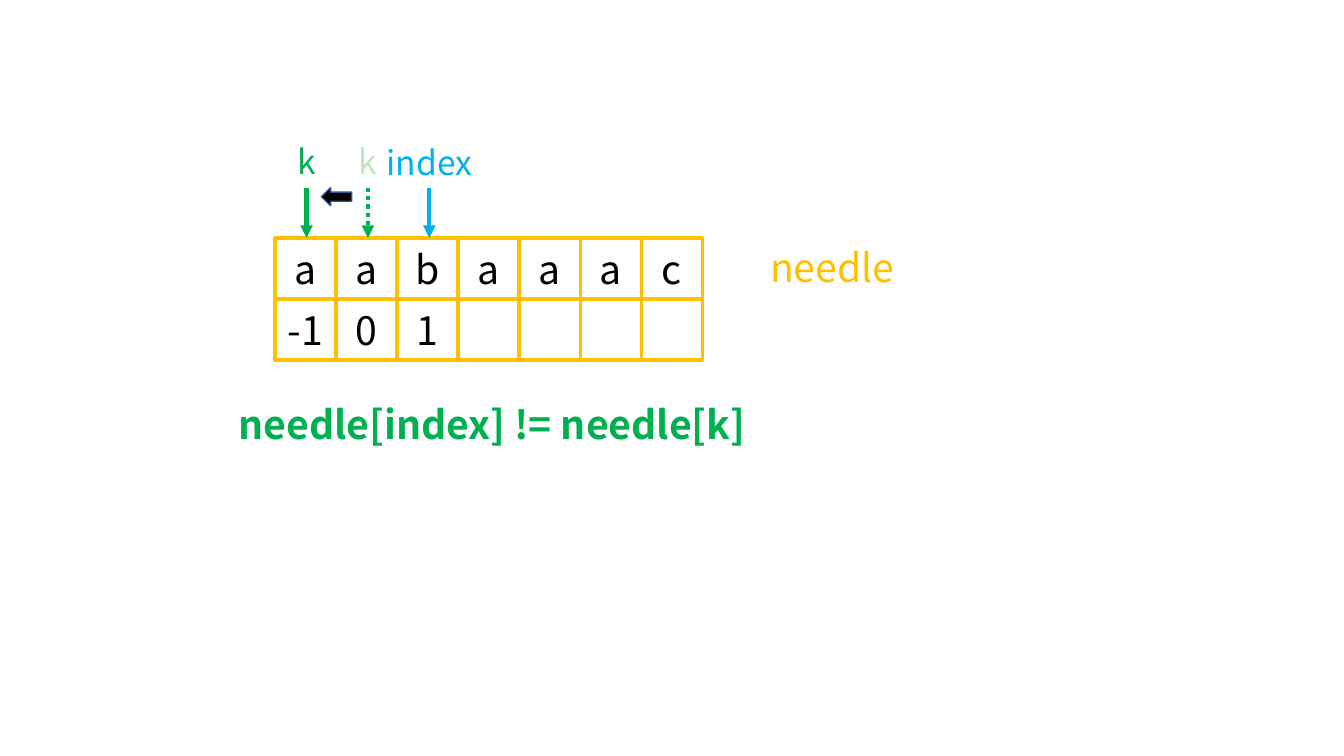
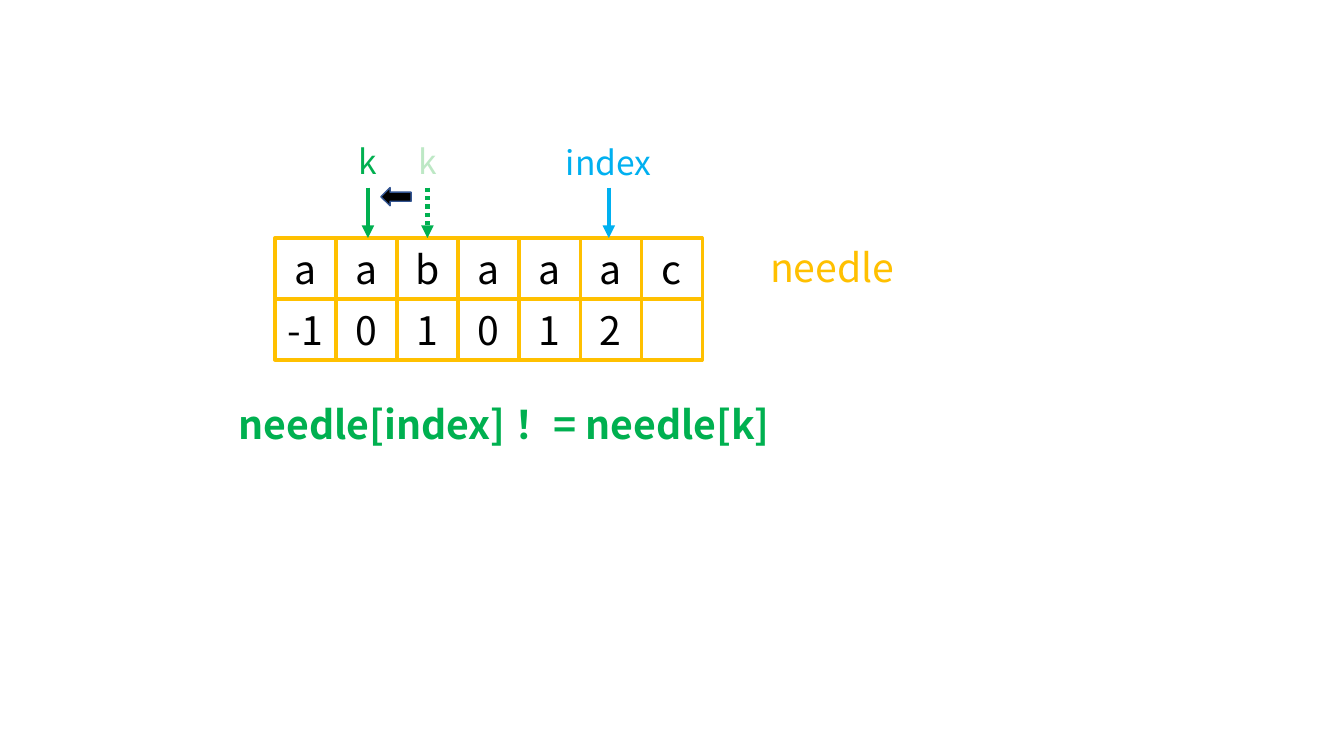
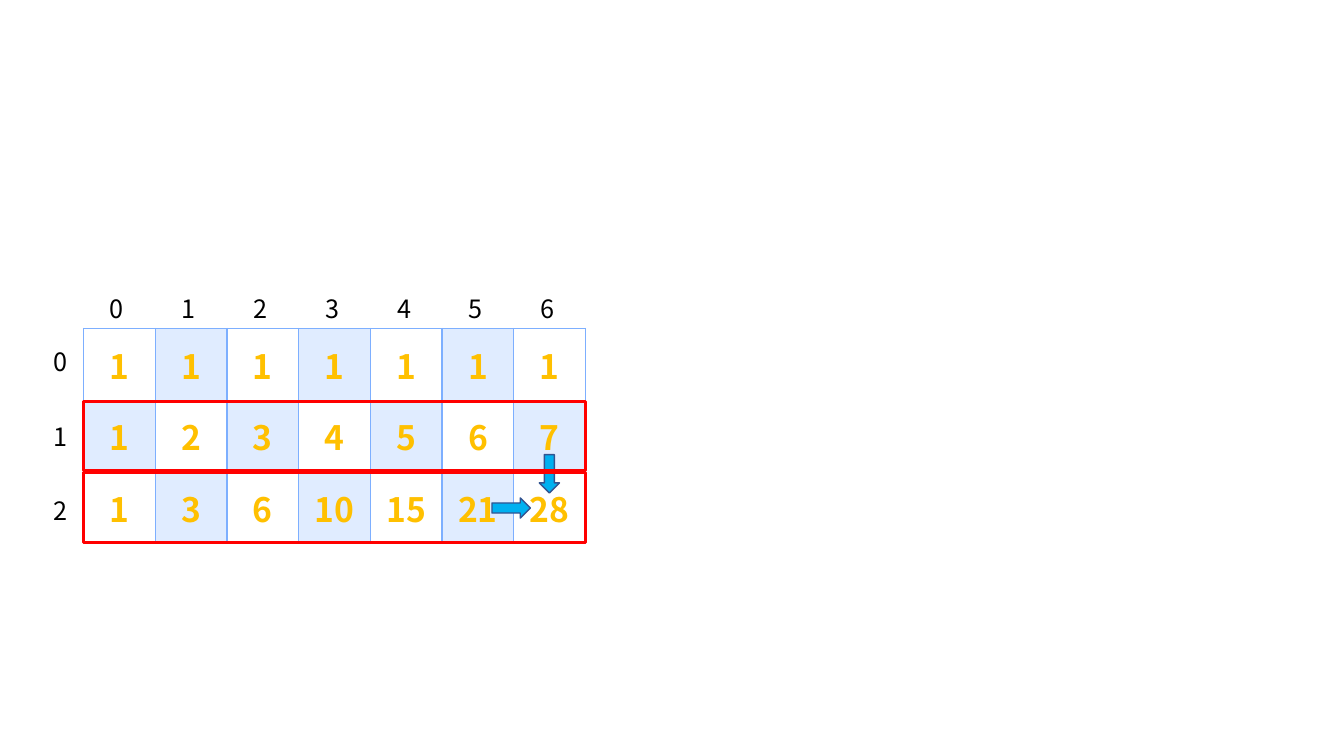
"""Build three slides: two prefix-table steps and one path-count grid."""
import lxml.etree
import pptx
import pptx.dml.color
import pptx.enum.dml
import pptx.enum.shapes
import pptx.enum.text
import pptx.oxml
import pptx.oxml.ns
import pptx.util

Pt = pptx.util.Pt
qn = pptx.oxml.ns.qn
SHAPE = pptx.enum.shapes.MSO_SHAPE
ALIGN = pptx.enum.text.PP_ALIGN
MIDDLE = pptx.enum.text.MSO_ANCHOR.MIDDLE
FIT = pptx.enum.text.MSO_AUTO_SIZE.SHAPE_TO_FIT_TEXT

FONT = "Noto Sans CJK SC"
BLACK, WHITE, GOLD, GREEN = "000000", "FFFFFF", "FFC000", "00B050"
BLUE, RED, NAVY, PALE, SKY = "00B0F0", "FF0000", "325491", "E0ECFF", "7DAFFF"
FADED = [(0, "91DEA0"), (50, "BDE8C5"), (100, "DFF3E3")]

STYLES = {
    "cell": (BLACK, ALIGN.CENTER, {"size": Pt(28)}),
    "needle": (GOLD, ALIGN.LEFT, {"size": Pt(28)}),
    "index": (BLUE, ALIGN.CENTER, {"size": Pt(24)}),
    "k": (GREEN, ALIGN.CENTER, {"size": Pt(24)}),
    "old k": (FADED, ALIGN.CENTER, {"size": Pt(24)}),
    "finding": (GREEN, ALIGN.LEFT, {"size": Pt(28), "bold": True}),
    "count": (GOLD, ALIGN.CENTER, {"size": Pt(24), "bold": True}),
    "axis": (BLACK, ALIGN.LEFT, {"size": Pt(18)}),
}


def paint(fill, color):
    fill.solid()
    fill.fore_color.rgb = pptx.dml.color.RGBColor.from_string(color)


def write(frame, text, style):
    color, alignment, values = STYLES[style]
    paragraph = frame.paragraphs[0]
    paragraph.alignment = alignment
    run = paragraph.add_run()
    run.text = text
    for key, value in {"name": FONT, **values}.items():
        setattr(run.font, key, value)
    properties = run._r.get_or_add_rPr()
    lxml.etree.SubElement(properties, qn("a:ea"), typeface=FONT)
    if isinstance(color, str):
        paint(run.font.fill, color)
    else:
        stops = "".join(
            f'<a:gs pos="{at * 1000}"><a:srgbClr val="{tone}"/></a:gs>' for at, tone in color)
        properties.insert(0, pptx.oxml.parse_xml(
            f'<a:gradFill {pptx.oxml.ns.nsdecls("a")}><a:gsLst>{stops}</a:gsLst>'
            '<a:lin ang="2700000" scaled="0"/></a:gradFill>'))


deck = pptx.Presentation()
deck.slide_width, deck.slide_height = Pt(960), Pt(540)
first, second, paths = [deck.slides.add_slide(deck.slide_layouts[6]) for _ in range(3)]

CELL, CELLS_LEFT, CELLS_TOP, POINTER_TOP = 43.6, 196.4, 170, 134
steps = [
    (first, ["-1", "0", "1", "", "", "", ""], 219, 262.8, 306.7,
     "needle[index] != needle[k]", 385.2),
    (second, ["-1", "0", "1", "0", "1", "2", ""], 262.8, 305.3, 434.9,
     "needle[index] ！= needle[k]", 399.6),
]
labels, block_arrows, outlines = [], [], []

for slide, prefixes, k_x, old_x, index_x, finding, finding_width in steps:
    for row, letters in enumerate(["aabaaac", prefixes]):
        for column, letter in enumerate(letters):
            box = slide.shapes.add_shape(
                SHAPE.RECTANGLE, Pt(CELLS_LEFT + column * CELL), Pt(CELLS_TOP + row * CELL),
                Pt(CELL), Pt(CELL))
            box.shadow.inherit = False
            box.fill.background()
            paint(box.line.fill, GOLD)
            box.line.width = Pt(2.25)
            box.text_frame.vertical_anchor = MIDDLE
            if letter:
                write(box.text_frame, letter, "cell")

    for style, x, color, top, width in [
            ("index", index_x, BLUE, 98, 80),
            ("k", k_x, GREEN, 97.2, 40),
            ("old k", old_x, GREEN, 97.2, 40)]:
        pointer = slide.shapes.add_connector(
            pptx.enum.shapes.MSO_CONNECTOR.STRAIGHT,
            Pt(x), Pt(POINTER_TOP), Pt(x), Pt(CELLS_TOP))
        paint(pointer.line.fill, color)
        pointer.line.width = Pt(3)
        if style == "old k":
            pointer.line.dash_style = pptx.enum.dml.MSO_LINE.ROUND_DOT
        outline = pointer.element.spPr.find(qn("a:ln"))
        lxml.etree.SubElement(outline, qn("a:tailEnd"), type="triangle")
        lxml.etree.SubElement(pointer.element.spPr, qn("a:effectLst"))
        labels.append((slide, style.split()[-1], style, x - width / 2, top, width, 36, True))

    labels.append((slide, "needle", "needle", 543, 170, 126.7, 41, True))
    labels.append((slide, finding, "finding", 163.4, 282.2, finding_width, 41, False))
    block_arrows.append((slide, old_x - 33.2, POINTER_TOP, 21.6, 13, 180, BLACK))

GRID_LEFT, GRID_TOP, GRID_WIDTH, GRID_CELL = 59.8, 234.7, 358.6, 51.2
counts = [[1, 1, 1, 1, 1, 1, 1], [1, 2, 3, 4, 5, 6, 7], [1, 3, 6, 10, 15, 21, 28]]
grid = paths.shapes.add_table(
    3, 7, Pt(GRID_LEFT), Pt(GRID_TOP), Pt(7 * GRID_CELL), Pt(3 * GRID_CELL)).table
grid.first_row = grid.horz_banding = False
for column in grid.columns:
    column.width = Pt(GRID_CELL)
for row, numbers in enumerate(counts):
    grid.rows[row].height = Pt(GRID_CELL)
    for column, number in enumerate(numbers):
        cell = grid.cell(row, column)
        for key, value in {
                "vertical_anchor": MIDDLE, "margin_left": Pt(4.3), "margin_right": Pt(4.3),
                "margin_top": Pt(2.2), "margin_bottom": Pt(2.2)}.items():
            setattr(cell, key, value)
        for side in "LRTB":
            border = lxml.etree.SubElement(
                cell._tc.get_or_add_tcPr(), qn(f"a:ln{side}"), w=str(Pt(1)))
            solid = lxml.etree.SubElement(border, qn("a:solidFill"))
            lxml.etree.SubElement(solid, qn("a:srgbClr"), val=SKY)
        paint(cell.fill, PALE if (row + column) % 2 else WHITE)
        write(cell.text_frame, str(number), "count")

for column in range(7):
    labels.append((paths, str(column), "axis", 71.3 + column * 51.3, 205.9, 24, 28.8, False))
for row in range(3):
    labels.append((paths, str(row), "axis", 31, 244 + row * 53.3, 24, 28.8, False))
block_arrows.append((paths, 351.4, 355.7, 27.4, 14.4, 0, BLUE))
block_arrows.append((paths, 378.7, 331.2, 27.4, 14.4, 90, BLUE))

for slide, text, style, left, top, width, height, wrap in labels:
    label = slide.shapes.add_textbox(Pt(left), Pt(top), Pt(width), Pt(height)).text_frame
    label.word_wrap = wrap
    label.auto_size = FIT
    write(label, text, style)

for slide, left, top, width, height, rotation, color in block_arrows:
    move = slide.shapes.add_shape(SHAPE.RIGHT_ARROW, Pt(left), Pt(top), Pt(width), Pt(height))
    move.rotation = rotation
    move.shadow.inherit = False
    paint(move.fill, color)
    paint(move.line.fill, NAVY)
    move.line.width = Pt(1)

for top in (286.6, 337.7):
    highlight = paths.shapes.add_shape(
        SHAPE.RECTANGLE, Pt(GRID_LEFT), Pt(top), Pt(GRID_WIDTH), Pt(49.7))
    highlight.shadow.inherit = False
    highlight.fill.background()
    paint(highlight.line.fill, RED)
    highlight.line.width = Pt(2.25)

deck.save("out.pptx")
